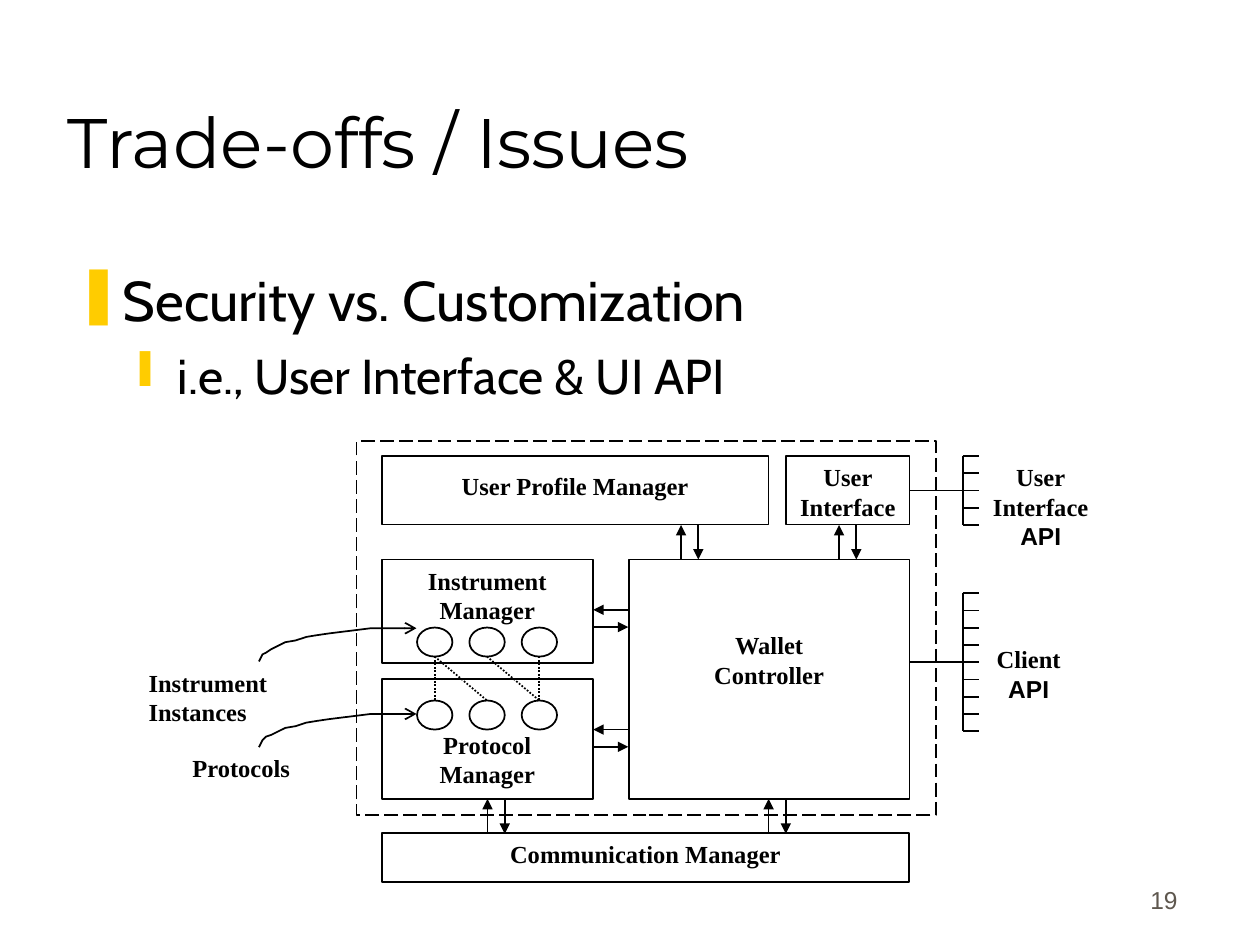
from math import cos, pi, sin

from lxml.etree import SubElement
from pptx import Presentation
from pptx.dml.color import RGBColor
from pptx.enum.dml import MSO_LINE
from pptx.enum.shapes import MSO_CONNECTOR, MSO_SHAPE
from pptx.enum.text import MSO_ANCHOR, PP_ALIGN
from pptx.oxml.ns import qn
from pptx.util import Pt

BLACK, YELLOW, GREY = "000000", "FFCC00", "5E574E"
LABEL = dict(name="Times New Roman", size=Pt(14), bold=True)
API = {**LABEL, "name": "Arial"}
STEP = 9.85  # spacing of the arrows in a pair and of the bracket teeth


def rgb(value):
    return RGBColor.from_string(value)


def set_text(sp, paragraphs, top=3.6, align=PP_ALIGN.CENTER,
             anchor=MSO_ANCHOR.TOP, color=BLACK):
    """Write (text, font format) pairs, one paragraph each."""
    tf = sp.text_frame
    frame = dict(word_wrap=True, vertical_anchor=anchor, margin_top=Pt(top))
    for key, value in frame.items():
        setattr(tf, key, value)
    for i, (text, fmt) in enumerate(paragraphs):
        p = tf.paragraphs[0] if i == 0 else tf.add_paragraph()
        p.alignment = align
        r = p.add_run()
        r.text = text
        r.font.color.rgb = rgb(color)
        for key, value in fmt.items():
            setattr(r.font, key, value)
    return tf


def add_text(s, at, paragraphs, **layout):
    return set_text(s.shapes.add_textbox(*map(Pt, at)), paragraphs, **layout)


def set_outline(sp, dash=None):
    sp.line.color.rgb = rgb(BLACK)
    sp.line.width = Pt(1)
    if dash:
        sp.line.dash_style = dash


def add_outline(s, kind, at, dash=None):
    sp = s.shapes.add_shape(kind, *map(Pt, at))
    sp.shadow.inherit = False
    sp.fill.background()
    set_outline(sp, dash)
    return sp


def add_box(s, at, lines, top=3.6):
    sp = add_outline(s, MSO_SHAPE.RECTANGLE, at)
    set_text(sp, [(line, LABEL) for line in lines], top)


def add_head(sp, kind):
    """Put an arrowhead at the start of a line."""
    SubElement(sp.line._get_or_add_ln(), qn("a:headEnd"), type=kind)


def add_line(s, x1, y1, x2, y2, head=None, dash=None):
    sp = s.shapes.add_connector(MSO_CONNECTOR.STRAIGHT, *map(Pt, (x1, y1, x2, y2)))
    set_outline(sp, dash)
    SubElement(sp._element.spPr, qn("a:effectLst"))
    if head:
        add_head(sp, head)


def add_vertical_pair(s, x, top, bottom):
    add_line(s, x, top, x, bottom, "triangle")
    add_line(s, x + STEP, bottom, x + STEP, top, "triangle")


def add_horizontal_pair(s, y, left, right):
    add_line(s, left, y, right, y, "triangle")
    add_line(s, right, y + STEP, left, y + STEP, "triangle")


def add_bracket(s, top, teeth):
    """Draw an interface comb joined to the wallet by a line at mid height."""
    spine, height = 550.1, (teeth - 1) * STEP
    add_line(s, spine, top, spine, top + height)
    add_line(s, 519.8, top + height / 2, spine, top + height / 2)
    for i in range(teeth):
        y = top + i * STEP
        add_line(s, spine, y, spine + 9.3, y)


def add_pointer(s, y):
    """Draw a quarter ellipse that points right at a circle."""
    right, width, height, parts = 238.3, 90, 19.6, 16
    points = [(right - width * sin(a), y + height * (1 - cos(a)))
              for a in (pi / 2 * i / parts for i in range(parts + 1))]
    builder = s.shapes.build_freeform(*points[0], scale=Pt(1))
    builder.add_line_segments(points[1:], close=False)
    sp = builder.convert_to_shape()
    sp.shadow.inherit = False
    sp.fill.background()
    set_outline(sp)
    add_head(sp, "arrow")


def set_bullet(p, char, margin, indent, before):
    p.space_before = Pt(before)
    pPr = p._p.get_or_add_pPr()
    pPr.set("marL", str(Pt(margin)))
    pPr.set("indent", str(Pt(-indent)))
    SubElement(SubElement(pPr, qn("a:buClr")), qn("a:srgbClr"), val=YELLOW)
    SubElement(pPr, qn("a:buChar"), char=char)


def add_heading(s):
    add_text(s, (31.7, 18, 612, 90),
             [("Trade-offs / Issues", dict(name="Montserrat", size=Pt(40)))],
             align=PP_ALIGN.LEFT, anchor=MSO_ANCHOR.BOTTOM)
    tf = add_text(s, (36, 148.3, 643.7, 328.3),
                  [("Security vs. Customization", dict(name="Cabin", size=Pt(32))),
                   ("i.e., User Interface & UI API", dict(name="Cabin", size=Pt(28)))],
                  align=PP_ALIGN.LEFT)
    tf.paragraphs[1].level = 1
    set_bullet(tf.paragraphs[0], "❚", 27, 27, 8)
    set_bullet(tf.paragraphs[1], "❙", 58.5, 22.5, 7)
    add_text(s, (530, 490.3, 150, 36), [("19", dict(name="Arial", size=Pt(14)))],
             align=PP_ALIGN.RIGHT, anchor=MSO_ANCHOR.BOTTOM, color=GREY)


def add_modules(s):
    add_outline(s, MSO_SHAPE.RECTANGLE, (203.8, 252, 331.2, 213.8), MSO_LINE.LONG_DASH)
    add_box(s, (218.2, 260.6, 221, 39.2), ["User Profile Manager"], 8.4)
    add_box(s, (218.2, 319.7, 120.5, 59), ["Instrument Manager"])
    add_box(s, (218.2, 388.1, 120.5, 68.4), ["Protocol", "Manager"], 29)
    add_box(s, (218.2, 475.9, 301.3, 28.1), ["Communication Manager"])
    add_box(s, (359.3, 319.7, 160.5, 136.8), ["Wallet", "Controller"], 40.4)
    add_box(s, (449.3, 260.6, 70.5, 39.2), ["User", "Interface"])


def add_circles(s):
    left, gap, width, height = 238.3, 29.9, 20.2, 16.6
    top_row, bottom_row = 358.6, 400.3
    for y in (bottom_row, top_row):
        for i in range(3):
            add_outline(s, MSO_SHAPE.OVAL, (left + i * gap, y, width, height))
    for start, end in ((0, 0), (0, 1), (1, 2), (2, 2)):
        x1, x2 = (left + width / 2 + i * gap for i in (start, end))
        add_line(s, x1, top_row + height, x2, bottom_row, dash=MSO_LINE.ROUND_DOT)


def add_labels(s):
    add_text(s, (559.4, 260.6, 70.6, 49),
             [("User", LABEL), ("Interface", LABEL), ("API", API)])
    add_text(s, (559.4, 348.5, 56.9, 63.4), [("Client", LABEL), ("API", API)], top=19.7)
    add_text(s, (77.8, 378, 120.2, 29.5), [("Instrument Instances", LABEL)],
             align=PP_ALIGN.LEFT)
    add_text(s, (77.8, 427, 120.2, 29.5), [("Protocols", LABEL)])


def main():
    prs = Presentation()
    prs.slide_width, prs.slide_height = Pt(720), Pt(540)
    s = prs.slides.add_slide(prs.slide_layouts[6])
    add_heading(s)
    add_modules(s)
    for x in (389.2, 479.5):
        add_vertical_pair(s, x, 300, 319.7)
    for x in (278.6, 439.2):
        add_vertical_pair(s, x, 456.5, 476.5)
    for y in (348.5, 416.9):
        add_horizontal_pair(s, y, 339, 359)
    add_bracket(s, 260.6, 5)
    add_bracket(s, 339, 9)
    for y in (358.6, 407.5):
        add_pointer(s, y)
    add_circles(s)
    add_labels(s)
    prs.save("out.pptx")


if __name__ == "__main__":
    main()
